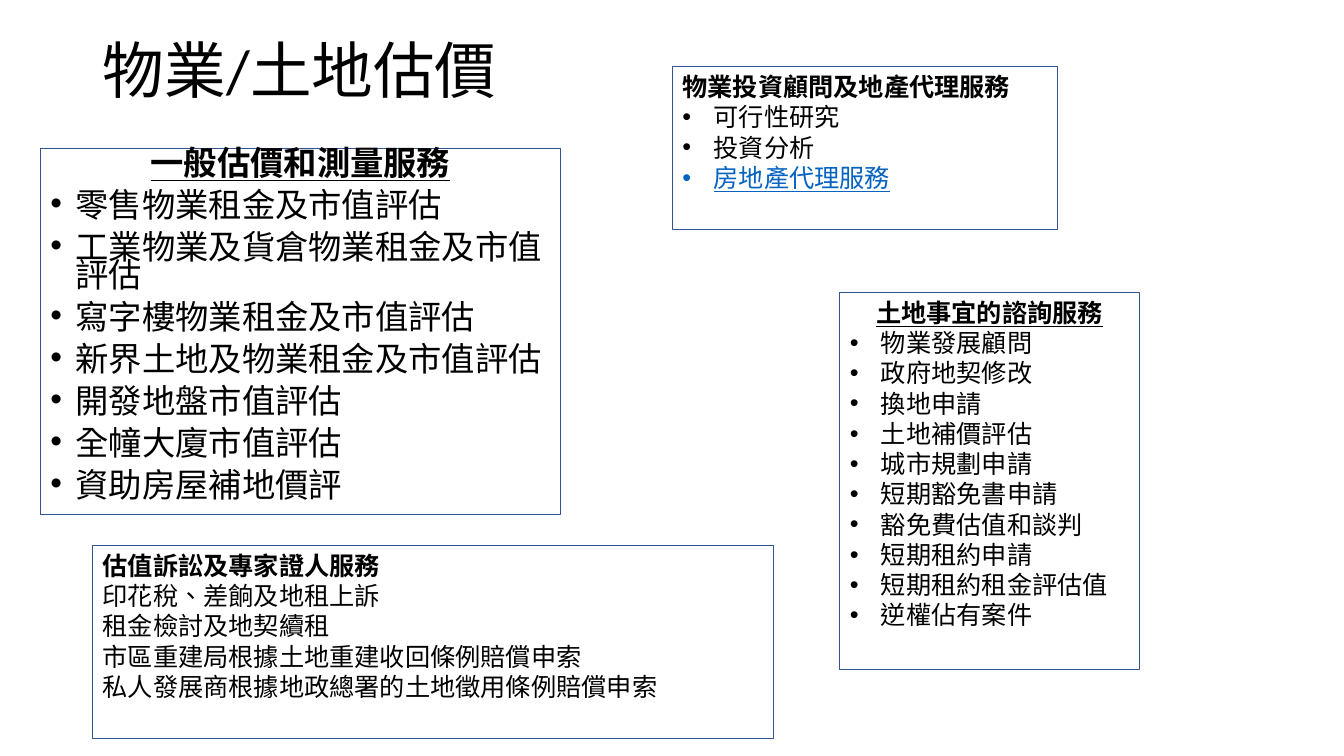
from dataclasses import dataclass

from lxml.etree import SubElement
from pptx import Presentation
from pptx.dml.color import RGBColor
from pptx.enum.lang import MSO_LANGUAGE_ID
from pptx.enum.shapes import MSO_SHAPE
from pptx.enum.text import MSO_ANCHOR, MSO_AUTO_SIZE, PP_ALIGN
from pptx.oxml.ns import qn
from pptx.shapes.autoshape import Shape
from pptx.slide import Slide
from pptx.util import Inches, Pt


@dataclass(frozen=True)
class Theme:
    font: str = "Calibri"
    ink: RGBColor = RGBColor(0x00, 0x00, 0x00)
    edge: RGBColor = RGBColor(0x32, 0x54, 0x91)
    link: RGBColor = RGBColor(0x05, 0x63, 0xC1)
    title: float = 44
    main: float = 23.8
    small: float = 18


@dataclass(frozen=True)
class Panel:
    """A framed list of services; box is left, top, width, height."""
    box: tuple[float, float, float, float]
    head: str
    items: tuple[str, ...]
    size: float
    center: bool = False
    indent: float = 0
    leading: float = 1
    before: float = 0
    linked: str = ""


THEME = Theme()

MAIN = Panel(
    (0.4, 1.47, 5.16, 3.63), "一般估價和測量服務",
    ("零售物業租金及市值評估", "工業物業及貨倉物業租金及市值評估",
     "寫字樓物業租金及市值評估", "新界土地及物業租金及市值評估",
     "開發地盤市值評估", "全幢大廈市值評估", "資助房屋補地價評"),
    THEME.main, center=True, indent=0.25, leading=0.7, before=10)

SIDE = (
    Panel((8.33, 2.9, 2.97, 3.74), "土地事宜的諮詢服務",
          ("物業發展顧問", "政府地契修改", "換地申請", "土地補價評估",
           "城市規劃申請", "短期豁免書申請", "豁免費估值和談判",
           "短期租約申請", "短期租約租金評估值", "逆權佔有案件"),
          THEME.small, center=True, indent=0.31),
    Panel((6.67, 0.66, 3.82, 1.62), "物業投資顧問及地產代理服務",
          ("可行性研究", "投資分析", "房地產代理服務"),
          THEME.small, indent=0.31, linked="房地產代理服務"),
    Panel((0.92, 5.41, 6.75, 1.92), "估值訴訟及專家證人服務",
          ("印花稅、差餉及地租上訴", "租金檢討及地契續租",
           "市區重建局根據土地重建收回條例賠償申索",
           "私人發展商根據地政總署的土地徵用條例賠償申索"),
          THEME.small),
)


def place(shape: Shape, box: tuple[float, float, float, float]) -> None:
    shape.left, shape.top, shape.width, shape.height = map(Inches, box)


def style(para, size: float, color: RGBColor = THEME.ink,
          bold: bool = False, line: bool = False) -> None:
    for run in para.runs:
        font = run.font
        font.name, font.size = THEME.font, Pt(size)
        font.bold, font.underline = bold, line
        font.color.rgb = color
        font.language_id = MSO_LANGUAGE_ID.CHINESE_HONG_KONG_SAR


def bullet(para, indent: float) -> None:
    """Hang a bullet by indent, or switch bullets off when it is zero."""
    props = para._p.get_or_add_pPr()
    props.set("marL", str(Inches(indent)))
    props.set("indent", str(-Inches(indent)))
    if indent:
        SubElement(props, qn("a:buFont")).set("typeface", "Arial")
        SubElement(props, qn("a:buChar")).set("char", "•")
    else:
        SubElement(props, qn("a:buNone"))


def fill(shape: Shape, panel: Panel) -> None:
    """Frame the shape and write the panel's heading and items into it."""
    shape.fill.background()
    shape.line.color.rgb = THEME.edge
    shape.line.width = Pt(0.75)
    frame = shape.text_frame
    frame.word_wrap = True
    frame.auto_size = MSO_AUTO_SIZE.NONE
    frame.vertical_anchor = MSO_ANCHOR.TOP
    frame.text = "\n".join((panel.head, *panel.items))
    for i, para in enumerate(frame.paragraphs):
        head = i == 0
        linked = para.text == panel.linked
        para.alignment = (PP_ALIGN.CENTER if head and panel.center
                          else PP_ALIGN.LEFT)
        para.line_spacing = panel.leading
        para.space_before = Pt(panel.before)
        bullet(para, 0 if head else panel.indent)
        style(para, panel.size, THEME.link if linked else THEME.ink,
              bold=head, line=linked or (head and panel.center))


def add_title(slide: Slide, text: str) -> None:
    title = slide.shapes.title
    place(title, (0.92, 0.4, 11.5, 1.45))
    frame = title.text_frame
    frame.text = text
    frame.word_wrap = True
    frame.auto_size = MSO_AUTO_SIZE.NONE
    frame.vertical_anchor = MSO_ANCHOR.TOP
    frame.margin_top = 0
    para = frame.paragraphs[0]
    para.alignment = PP_ALIGN.LEFT
    para.line_spacing = 0.9
    style(para, THEME.title)


def add_panel(slide: Slide, panel: Panel) -> None:
    shape = slide.shapes.add_shape(
        MSO_SHAPE.RECTANGLE, *map(Inches, panel.box))
    shape.shadow.inherit = False
    fill(shape, panel)


def main() -> None:
    deck = Presentation()
    deck.slide_width, deck.slide_height = Inches(13.33), Inches(7.5)
    slide = deck.slides.add_slide(deck.slide_layouts[1])
    add_title(slide, "物業/土地估價")
    body = slide.placeholders[1]
    place(body, MAIN.box)
    fill(body, MAIN)
    for panel in SIDE:
        add_panel(slide, panel)
    deck.save("out.pptx")


if __name__ == "__main__":
    main()
